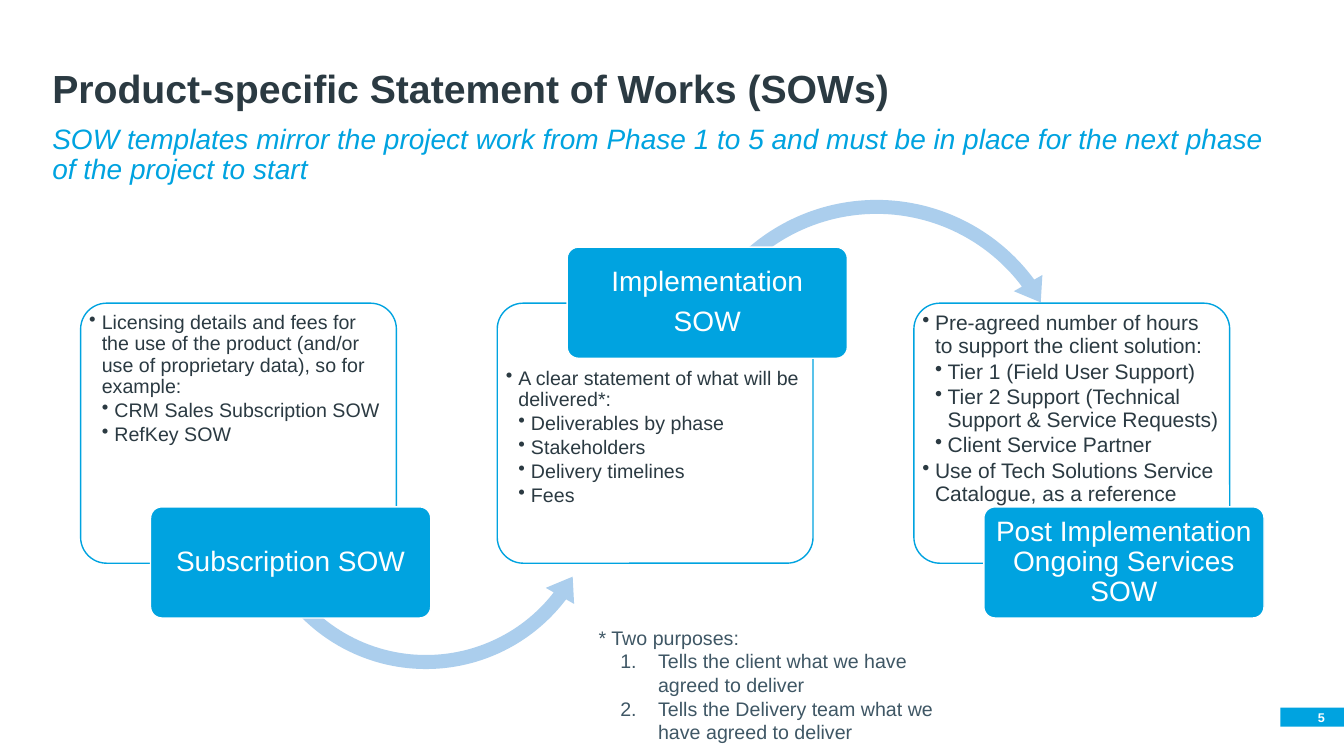
import lxml.etree
import pptx
import pptx.dml.color
import pptx.enum.shapes
import pptx.enum.text
import pptx.oxml.ns
import pptx.util

THEME = {
    "font": "Arial",
    "blue": "00A3E0", "pale": "ABCEED", "ink": "2B3A42", "slate": "3F5765", "white": "FFFFFF",
    "title": 28, "subtitle": 20, "label": 20, "note": 14, "number": 9,
}
SHAPES = pptx.enum.shapes.MSO_SHAPE
ALIGN = pptx.enum.text.PP_ALIGN
ANCHOR = pptx.enum.text.MSO_ANCHOR
qn = pptx.oxml.ns.qn
# Marker kinds: left margin and hanging indent in inches, element, its attributes
MARKERS = {
    "bullet": (0.125, 0.125, "a:buChar", {"char": "•"}),
    "sub": (0.25, 0.125, "a:buChar", {"char": "•"}),
    "step": (0.59, 0.375, "a:buAutoNum", {"type": "arabicPeriod"}),
}

presentation = pptx.Presentation()
presentation.slide_width = pptx.util.Inches(13.333)
presentation.slide_height = pptx.util.Inches(7.5)
slide = presentation.slides.add_slide(presentation.slide_layouts[6])


def add_box(kind, left, top, width, height, fill=None, line=None, adjustments=()):
    """Add a shape, or a text box when kind is None; lengths are percent of the slide."""
    across, down = presentation.slide_width / 100, presentation.slide_height / 100
    place = [int(left * across), int(top * down), int(width * across), int(height * down)]
    if kind is None:
        return slide.shapes.add_textbox(*place)
    shape = slide.shapes.add_shape(kind, *place)
    shape.shadow.inherit = False
    for index, value in enumerate(adjustments):
        shape.adjustments[index] = value
    shape.fill.solid()
    shape.fill.fore_color.rgb = pptx.dml.color.RGBColor.from_string(THEME[fill])
    if line:
        shape.line.color.rgb = pptx.dml.color.RGBColor.from_string(THEME[line])
        shape.line.width = pptx.util.Pt(1)
    else:
        shape.line.fill.background()
    return shape


def write(shape, lines, size, color, align=ALIGN.LEFT, anchor=ANCHOR.TOP, insets=None,
          spacing=0.9, gap=0, bold=False, italic=False):
    """Write (marker, text) lines; insets are left, top, right, bottom in inches."""
    frame = shape.text_frame
    frame.word_wrap = True
    frame.vertical_anchor = anchor
    if insets:
        (frame.margin_left, frame.margin_top,
         frame.margin_right, frame.margin_bottom) = map(pptx.util.Inches, insets)
    for index, (marker, text) in enumerate(lines):
        paragraph = frame.paragraphs[0] if index == 0 else frame.add_paragraph()
        if marker:
            margin, hanging, tag, attributes = MARKERS[marker]
            properties = paragraph._p.get_or_add_pPr()
            properties.set("marL", str(pptx.util.Inches(margin)))
            properties.set("indent", str(-pptx.util.Inches(hanging)))
            lxml.etree.SubElement(properties, qn(tag), attributes)
        paragraph.alignment = align
        paragraph.line_spacing = spacing
        if index and gap:
            paragraph.space_before = pptx.util.Pt(gap)
        run = paragraph.add_run()
        run.text = text
        run.font.name = THEME["font"]
        run.font.size = pptx.util.Pt(size)
        run.font.bold = bold
        run.font.italic = italic
        run.font.color.rgb = pptx.dml.color.RGBColor.from_string(THEME[color])


# Page number tag
page_tag = add_box(SHAPES.RECTANGLE, 95.27, 93.6, 4.73, 2.53, "blue")
write(page_tag, [(None, "5")], THEME["number"], "white", ALIGN.RIGHT, ANCHOR.MIDDLE,
      (0, 0, 0.19, 0), spacing=1.0, bold=True)

# Heading
write(add_box(None, 3.15, 15.87, 93, 5.87),
      [(None, "SOW templates mirror the project work from Phase 1 to 5 and must be in place "
              "for the next phase of the project to start")],
      THEME["subtitle"], "blue", italic=True)
write(add_box(None, 3.15, 4.27, 93, 11.2),
      [(None, "Product-specific Statement of Works (SOWs)")],
      THEME["title"], "ink", anchor=ANCHOR.BOTTOM, bold=True)

# Three stages: label lines, label at top, body size, body lines, arrow to the next stage
STAGES = [
    (["Subscription SOW"], False, 14, [
        ("bullet", "Licensing details and fees for the use of the product (and/or use of "
                   "proprietary data), so for example:"),
        ("sub", "CRM Sales Subscription SOW"),
        ("sub", "RefKey SOW"),
    ], (SHAPES.LEFT_CIRCULAR_ARROW, 17.93, 40.8, 27.53, 48.93,
        (0.038, 4.698, 22.453, 90.245, 0.044))),
    (["Implementation", "SOW"], True, 14, [
        ("bullet", "A clear statement of what will be delivered*:"),
        ("sub", "Deliverables by phase"),
        ("sub", "Stakeholders"),
        ("sub", "Delivery timelines"),
        ("sub", "Fees"),
    ], (SHAPES.CIRCULAR_ARROW, 49.96, 25.2, 30.53, 54.27,
        (0.034, 4.2, 194.045, 125.755, 0.04))),
    (["Post Implementation Ongoing Services SOW"], False, 15, [
        ("bullet", "Pre-agreed number of hours to support the client solution:"),
        ("sub", "Tier 1 (Field User Support)"),
        ("sub", "Tier 2 Support (Technical Support & Service Requests)"),
        ("sub", "Client Service Partner"),
        ("bullet", "Use of Tech Solutions Service Catalogue, as a reference"),
    ], None),
]
for column, (label_lines, label_on_top, size, body, arrow) in enumerate(STAGES):
    left = 6 + 31 * column

    # Card with details
    card = add_box(SHAPES.ROUNDED_RECTANGLE, left, 40.1, 23.5, 34.4, "white", "blue", (0.1,))
    card_color = card.fill._xPr.find(qn("a:solidFill"))[0]
    lxml.etree.SubElement(card_color, qn("a:alpha"), {"val": "90000"})
    write(card, body, size, "ink", insets=(0.01, 0.57 if label_on_top else 0.02, 0.01, 0), gap=2)

    # Arrow, tucked under the label
    if arrow:
        kind, *place, adjustments = arrow
        add_box(kind, *place, fill="pale", adjustments=adjustments)

    # Label
    label = add_box(SHAPES.ROUNDED_RECTANGLE, left + 5.2, 32.7 if label_on_top else 67.05,
                    20.85, 14.7, "blue", "white", (0.1,))
    write(label, [(None, line) for line in label_lines], THEME["label"], "white",
          ALIGN.CENTER, ANCHOR.MIDDLE, (0.04, 0.03, 0.04, 0.03), gap=7)

# Footnote
write(add_box(None, 43.8, 82.13, 28.05, 17.07),
      [(None, "* Two purposes:"),
       ("step", "Tells the client what we have agreed to deliver"),
       ("step", "Tells the Delivery team what we have agreed to deliver")],
      THEME["note"], "slate", spacing=1.0)

presentation.save("out.pptx")
